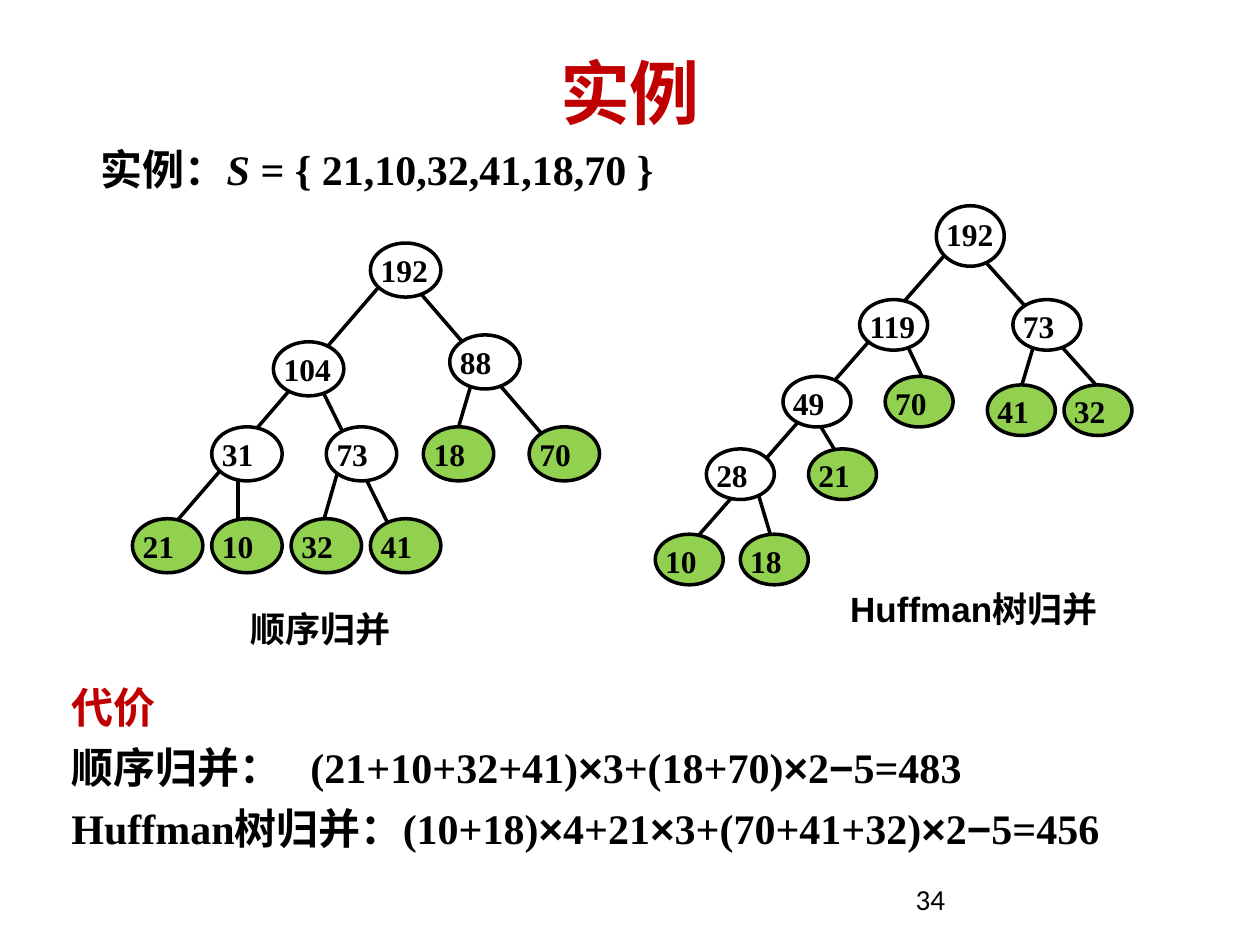
from dataclasses import dataclass

from lxml import etree
from pptx import Presentation
from pptx import util as u
from pptx.dml.color import RGBColor
from pptx.enum import shapes, text
from pptx.oxml.ns import qn


@dataclass(frozen=True)
class Theme:
    """Colours, fonts and type sizes of the slide."""
    ink: str = "000000"
    red: str = "C00000"
    leaf: str = "92D050"
    inner: str = "FFFFFF"
    shade: str = "768395"
    heading: str = "Calibri"
    serif: str = "Times New Roman"
    sans: str = "Arial"
    title: float = 40
    body: float = 24
    caption: float = 20
    node: float = 18
    number: float = 16.6


T = Theme()

SEQUENTIAL = dict(
    grid=(16, 13), node=(1.42, 1.09), root=1.09,
    edges=[(13, 5.4, 12, 9.3), (10, 1, 1, 13), (4, 10, 4, 13),
           (7, 6, 10, 13), (8, 9, 7, 13), (10, 1, 16, 9)],
    inner=[("192", 9, 0), ("104", 5.33, 4.3), ("88", 12, 4),
           ("31", 3, 8), ("73", 7.33, 8)],
    leaves=[("18", 11, 8), ("70", 15, 8), ("21", 0, 12),
            ("10", 3, 12), ("32", 6, 12), ("41", 9, 12)])

HUFFMAN = dict(
    grid=(18, 16), node=(1.37, 1.02), root=1.22,
    edges=[(15, 4.4, 14, 8.4), (12, 0, 1, 15), (4, 12, 5, 16),
           (9, 3, 11, 8), (6, 8, 8, 12), (12, 0, 18, 8)],
    inner=[("192", 11, -1.4), ("119", 8, 3), ("73", 14, 3),
           ("49", 5, 6.6), ("28", 2, 10)],
    leaves=[("70", 9, 6.6), ("41", 13, 7), ("32", 16, 7),
            ("21", 6, 10), ("10", 0, 14), ("18", 3.33, 14)])

COSTS = [("顺序归并：\t(21+10+32+41)", "×", "3+(18+70)", "×", "2", "−", "5=483"),
         ("Huffman树归并：(10+18)", "×", "4+21", "×", "3+(70+41+32)", "×",
          "2", "−", "5=456")]


def add_run(p, words, size, font, color=T.ink, bold=True, italic=False):
    """Append a formatted run to a paragraph."""
    r = p.add_run()
    r.text = words
    f = r.font
    f.size, f.name, f.bold, f.italic = u.Pt(size), font, bold, italic
    f.color.rgb = RGBColor.from_string(color)
    return r


def add_shade(r):
    """Give a run a small text shadow."""
    fill = r.font._element.find(qn("a:solidFill"))
    effects = etree.Element(qn("a:effectLst"))
    shadow = etree.SubElement(effects, qn("a:outerShdw"),
                              dist="25400", dir="2700000", algn="tl")
    etree.SubElement(shadow, qn("a:srgbClr"), val=T.shade)
    fill.addnext(effects)


def add_box(slide, box, anchor=text.MSO_ANCHOR.TOP):
    """Add a wrapping text box and return its text frame."""
    tf = slide.shapes.add_textbox(*map(u.Cm, box)).text_frame
    tf.word_wrap = True
    tf.vertical_anchor = anchor
    return tf


def add_label(slide, box, words, size, font, color=T.ink, bold=True):
    """Add a one-line label and return its paragraph."""
    p = add_box(slide, box).paragraphs[0]
    add_run(p, words, size, font, color, bold)
    return p


def add_title(slide, box):
    """Add the centred title."""
    p = add_box(slide, box, text.MSO_ANCHOR.MIDDLE).paragraphs[0]
    p.alignment = text.PP_ALIGN.CENTER
    add_run(p, "实例", T.title, T.heading, T.red)


def add_example(slide, box):
    """Add the line that states the input set."""
    p = add_label(slide, box, "实例：", T.body, T.serif)
    add_run(p, "S ", T.body, T.serif, italic=True)
    add_run(p, "= { 21,10,32,41,18,70 }", T.body, T.serif)


def add_edge(slide, start, end):
    """Add a straight tree edge between two points."""
    c = slide.shapes.add_connector(shapes.MSO_CONNECTOR.STRAIGHT,
                                   *map(u.Cm, start + end))
    c.line.width = u.Pt(2)
    c.line.color.rgb = RGBColor.from_string(T.ink)
    etree.SubElement(c._element.spPr, qn("a:effectLst"))


def add_node(slide, box, words, fill):
    """Add an oval tree node with its weight."""
    sp = slide.shapes.add_shape(shapes.MSO_SHAPE.OVAL, *map(u.Cm, box))
    sp.shadow.inherit = False
    sp.fill.solid()
    sp.fill.fore_color.rgb = RGBColor.from_string(fill)
    sp.line.width = u.Pt(2)
    sp.line.color.rgb = RGBColor.from_string(T.ink)
    tf = sp.text_frame
    tf.margin_left = tf.margin_right = tf.margin_top = tf.margin_bottom = 0
    tf.vertical_anchor = text.MSO_ANCHOR.TOP
    p = tf.paragraphs[0]
    p.alignment = text.PP_ALIGN.LEFT
    add_run(p, words, T.node, T.serif)


def add_tree(slide, box, tree):
    """Draw a merge tree on a grid that fills the box."""
    left, top, width, height = box
    cols, rows = tree["grid"]

    def at(col, row):
        return left + col * width / cols, top + row * height / rows

    for x1, y1, x2, y2 in tree["edges"]:
        add_edge(slide, at(x1, y1), at(x2, y2))
    w, h = tree["node"]
    for kind, fill in (("leaves", T.leaf), ("inner", T.inner)):
        for words, col, row in tree[kind]:
            tall = tree["root"] if words == "192" else h
            add_node(slide, at(col, row) + (w, tall), words, fill)


def add_costs(slide, box):
    """Add the cost of both merge orders."""
    tf = add_box(slide, box, text.MSO_ANCHOR.MIDDLE)
    add_shade(add_run(tf.paragraphs[0], "代价", T.body, T.serif, T.red))
    for parts in COSTS:
        p = tf.add_paragraph()
        p.space_before = u.Pt(6)
        tabs = etree.SubElement(p._p.get_or_add_pPr(), qn("a:tabLst"))
        etree.SubElement(tabs, qn("a:tab"), pos=str(u.Cm(4.82)), algn="l")
        for part in parts:
            font = T.sans if part in "×−" else T.serif
            add_shade(add_run(p, part, T.body, font))


def main():
    """Build the slide and save it."""
    prs = Presentation()
    prs.slide_width, prs.slide_height = u.Cm(25.4), u.Cm(19.05)
    slide = prs.slides.add_slide(prs.slide_layouts[6])
    add_title(slide, (1.27, 0.76, 22.86, 2.16))
    add_example(slide, (1.78, 2.77, 20.45, 1.27))
    add_tree(slide, (2.67, 4.9, 8.53, 6.02), SEQUENTIAL)
    add_label(slide, (4.8, 12.12, 6.63, 1.4), "顺序归并", T.caption, T.sans)
    add_tree(slide, (13.21, 4.75, 9.27, 6.88), HUFFMAN)
    add_label(slide, (16.89, 11.71, 6.93, 1.3), "Huffman树归并", T.caption, T.sans)
    add_costs(slide, (1.19, 13.6, 24.2, 3.73))
    add_label(slide, (18.21, 17.65, 5.92, 1.02), "34", T.number, T.heading,
              bold=False)
    prs.save("out.pptx")


if __name__ == "__main__":
    main()
